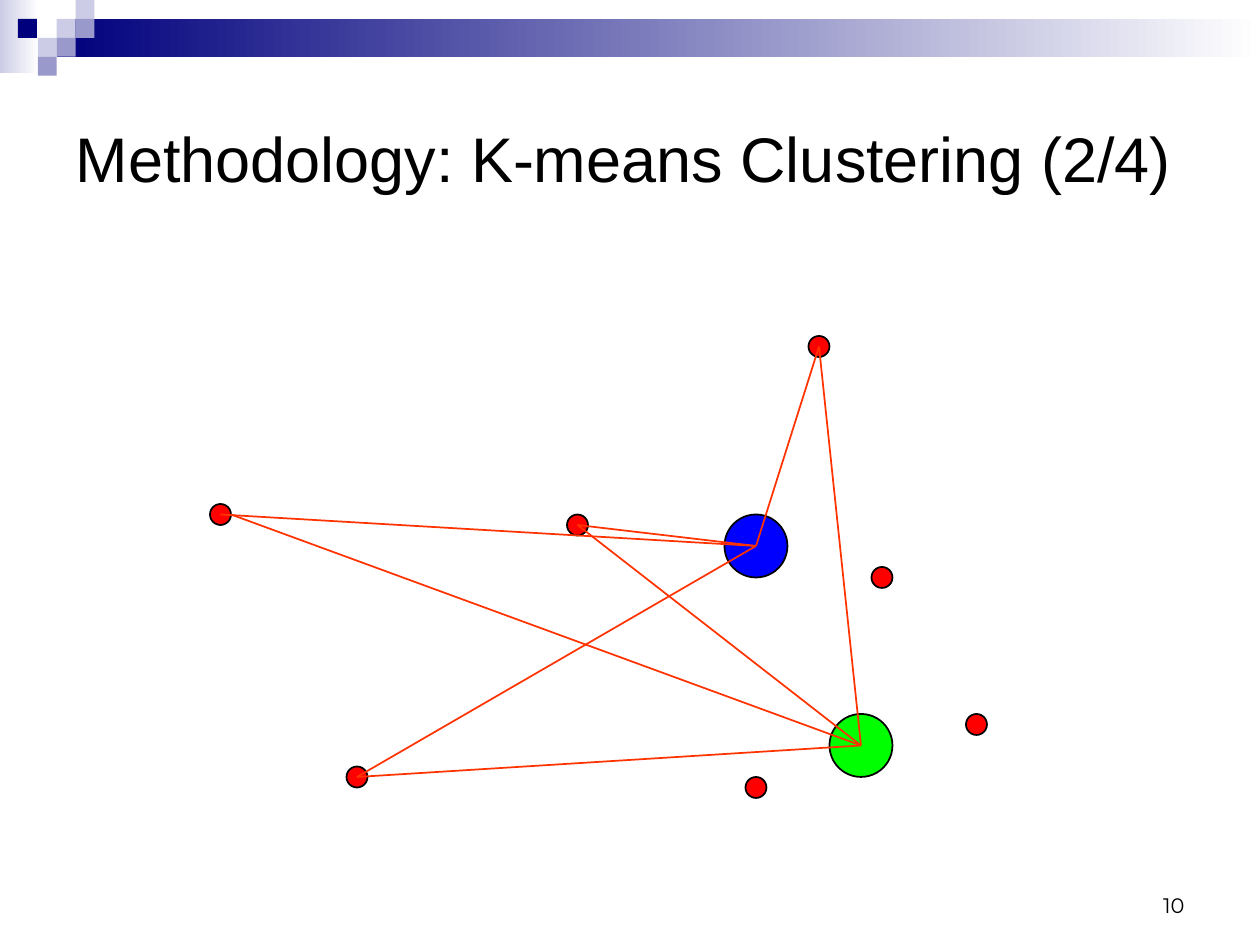
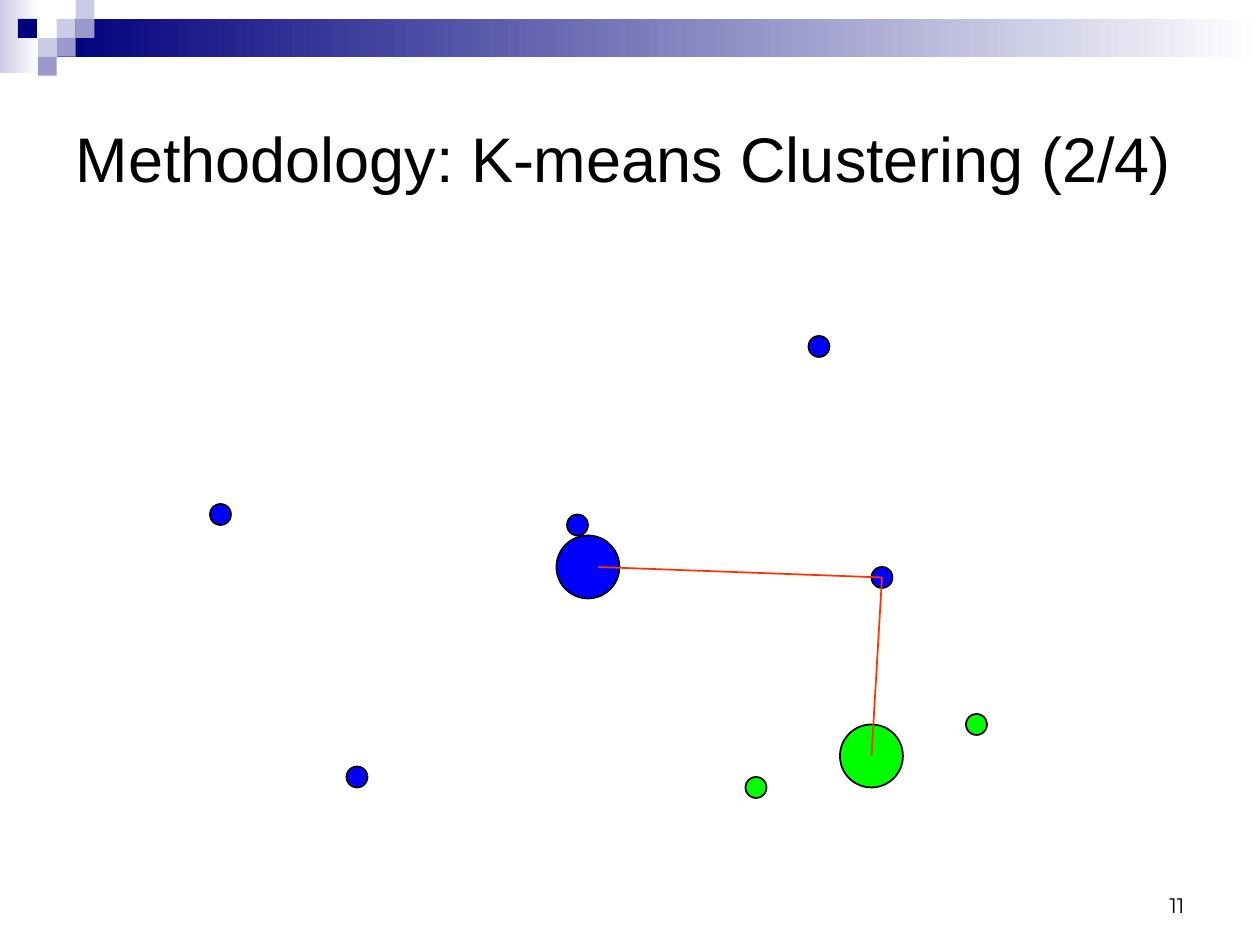
from lxml.etree import SubElement as Sub
from pptx import Presentation
from pptx.dml.color import RGBColor as RGB
from pptx.enum.shapes import MSO_CONNECTOR as LINK, MSO_SHAPE as SHAPE
from pptx.enum.text import MSO_ANCHOR as ANCHOR, MSO_AUTO_SIZE as FIT, PP_ALIGN as ALIGN
from pptx.oxml.ns import qn
from pptx.util import Pt

TITLE = "Methodology: K-means Clustering (2/4)"
NAVY, MID, PALE, WHITE = "00007D", "9999CC", "CCCCE6", "FFFFFF"
RED, BLUE, GREEN, BLACK, RAY = "FF0000", "0000FF", "00FF00", "000000", "FF3300"
TILE, DOT, MEAN = 10.8, 12, 36

BANDS = [((0, 0, 22.3, 41.8), PALE), ((32.4, 10.8, 687.6, 21.6), NAVY)]
TILES = [(3, 1, PALE), (4, 0, PALE), (4, 1, MID), (2, 2, PALE),
         (0.95, 1, NAVY), (3, 2, MID), (2, 3, MID)]

DOTS = {"west": (126, 294), "south": (204, 444), "east": (558, 414), "low": (432, 450),
        "north": (468, 198), "mid": (330, 300), "near": (504, 330)}

SLIDES = [
    {"page": "10",
     "dots": dict.fromkeys(DOTS, RED),
     "means": {BLUE: (432, 312), GREEN: (492, 426)},
     "rays": [(DOTS["west"], BLUE), ((132, 294), GREEN)]
     + [(DOTS[name], hue) for name in ("mid", "north", "south") for hue in (BLUE, GREEN)]},
    {"page": "11",
     "dots": {name: GREEN if name in ("east", "low") else BLUE for name in DOTS},
     "means": {BLUE: (336, 324), GREEN: (498, 432)},
     "rays": [(DOTS["near"], (342, 324)), (DOTS["near"], GREEN)]},
]


def color(code):
    return RGB.from_string(code)


def shape(slide, kind, box, hue, edge=None):
    item = slide.shapes.add_shape(kind, *map(Pt, box))
    item.shadow.inherit = False
    item.fill.solid()
    item.fill.fore_color.rgb = color(hue)
    if edge:
        item.line.color.rgb = color(edge)
        item.line.width = Pt(1)
    else:
        item.line.fill.background()
    return item


def fade(slide, box, hue):
    fill = shape(slide, SHAPE.RECTANGLE, box, hue).fill
    fill.gradient()
    fill.gradient_angle = 0
    for stop, code in zip(fill.gradient_stops, (hue, WHITE)):
        stop.color.rgb = color(code)


def disc(slide, spot, size, hue):
    x, y = spot
    shape(slide, SHAPE.OVAL, (x - size / 2, y - size / 2, size, size), hue, BLACK)


def ray(slide, start, end):
    line = slide.shapes.add_connector(LINK.STRAIGHT, *map(Pt, start + end))
    line.line.color.rgb = color(RAY)
    line.line.width = Pt(1)
    Sub(line._element.spPr, qn("a:effectLst"))


def write(item, box, text, face, size, align, anchor):
    item.left, item.top, item.width, item.height = map(Pt, box)
    frame = item.text_frame
    frame.word_wrap = True
    frame.auto_size = FIT.NONE
    frame.vertical_anchor = anchor
    para = frame.paragraphs[0]
    para.alignment = align
    run = para.add_run()
    run.text = text
    run.font.name = face
    run.font.size = Pt(size)
    run.font.color.rgb = color(BLACK)


def frame(slide, page):
    for box, hue in BANDS:
        fade(slide, box, hue)
    for col, row, hue in TILES:
        shape(slide, SHAPE.RECTANGLE, (col * TILE, row * TILE, TILE, TILE), hue)
    write(slide.shapes.title, (36, 36, 648, 108), TITLE, "Arial", 36,
          ALIGN.LEFT, ANCHOR.MIDDLE)
    note = slide.shapes.add_textbox(0, 0, 0, 0)
    write(note, (516, 492, 168, 36), page, "Montserrat", 12, ALIGN.RIGHT, ANCHOR.BOTTOM)


def plot(slide, data):
    for name, hue in data["dots"].items():
        disc(slide, DOTS[name], DOT, hue)
    for hue, spot in data["means"].items():
        disc(slide, spot, MEAN, hue)
    for start, goal in data["rays"]:
        ray(slide, start, data["means"].get(goal, goal))


def main():
    deck = Presentation()
    deck.slide_width, deck.slide_height = Pt(720), Pt(540)
    for data in SLIDES:
        slide = deck.slides.add_slide(deck.slide_layouts[5])
        frame(slide, data["page"])
        plot(slide, data)
    deck.save("out.pptx")


if __name__ == "__main__":
    main()
